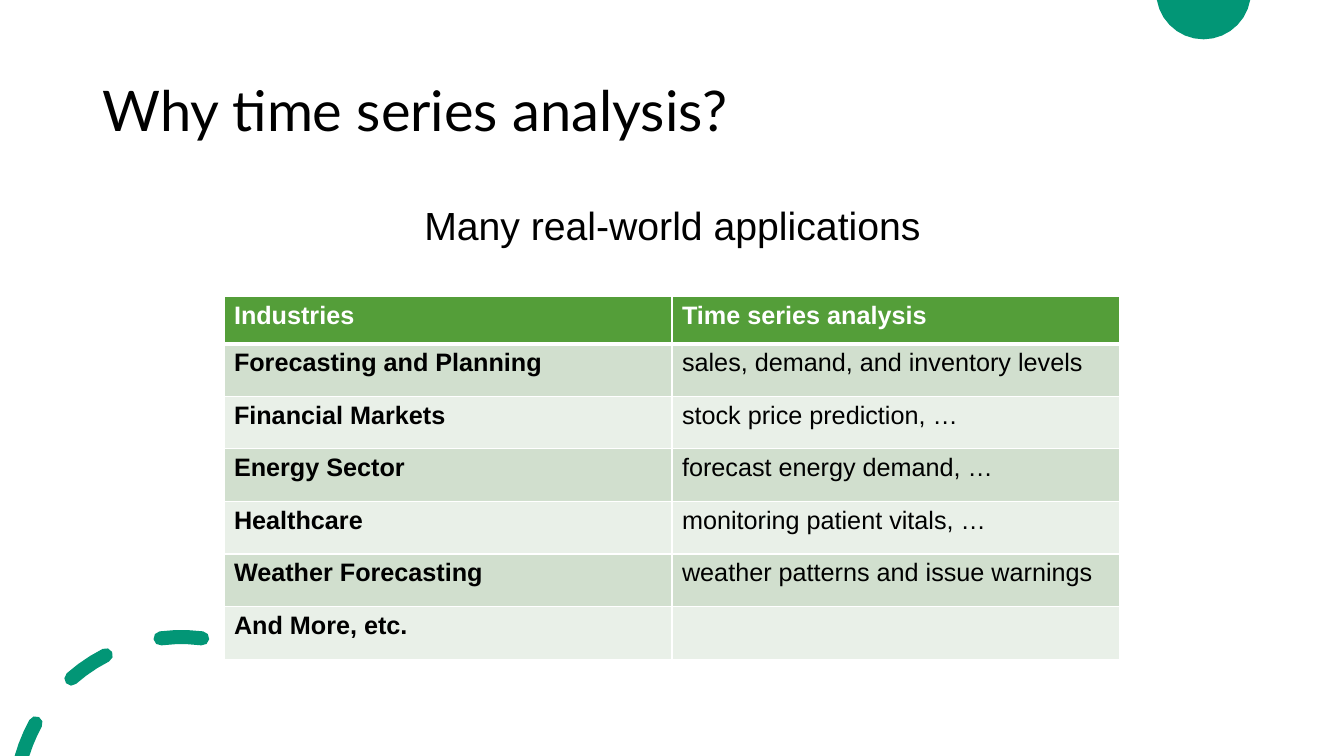
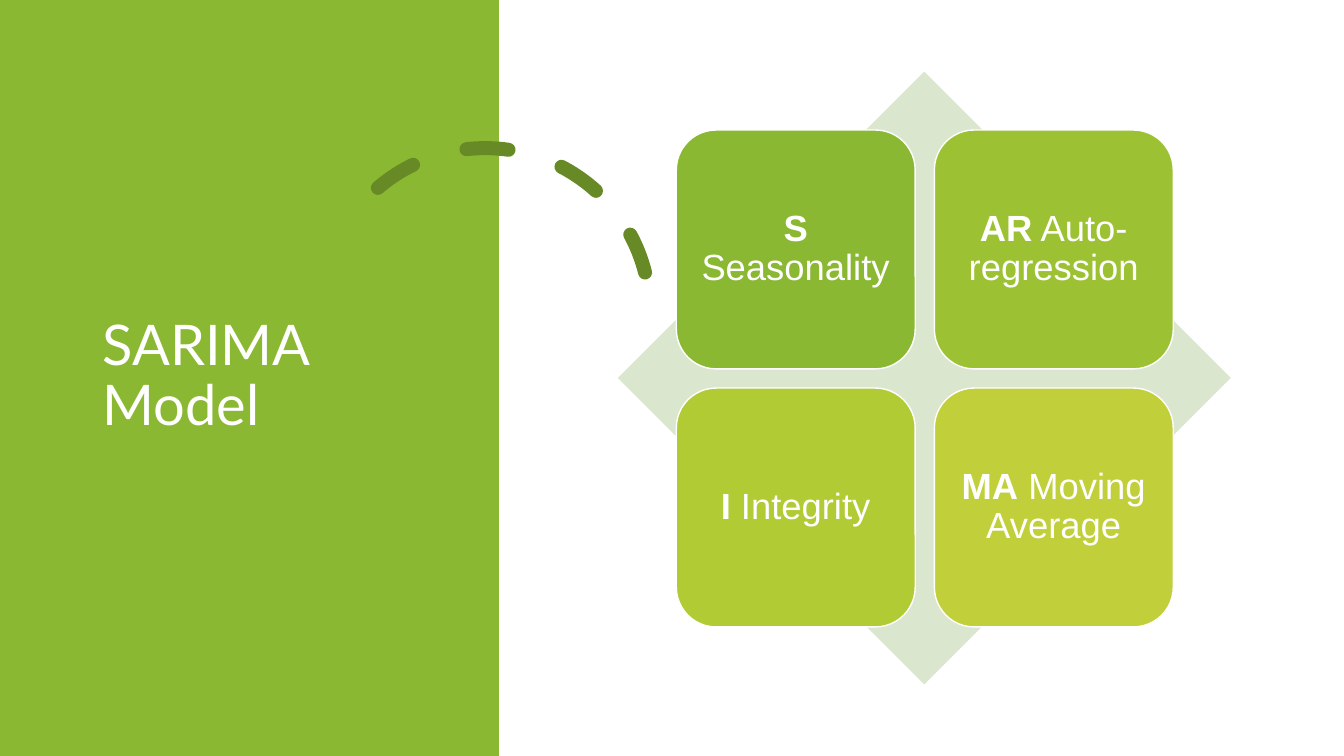
from dataclasses import dataclass
from math import acos, cos, degrees, radians, sin

from lxml.etree import SubElement
from pptx import Presentation
from pptx.dml.color import RGBColor
from pptx.enum.dml import MSO_LINE_DASH_STYLE as Dash
from pptx.enum.shapes import MSO_SHAPE as Shape
from pptx.enum.text import MSO_ANCHOR as Anchor, PP_ALIGN as Align
from pptx.oxml.ns import qn
from pptx.util import Inches, Pt


@dataclass(frozen=True)
class Theme:
    black: str = "000000"
    white: str = "FFFFFF"
    teal: str = "029676"
    panel: str = "8AB833"
    arc: str = "678A26"
    diamond: str = "DAE6CE"
    header: str = "549E39"
    bands: tuple = ("D1DFCE", "E9F0E8")
    title_font: str = "Lato"
    body_font: str = "Arial"
    title_size: int = 40
    lead_size: int = 28
    tile_size: int = 26
    table_size: int = 18


THEME = Theme()
WIDTH, HEIGHT = 40 / 3, 7.5

APPLICATIONS_TITLE = "Why time series analysis?"
APPLICATIONS_LEAD = "Many real-world applications"
APPLICATIONS = [
    ("Industries", "Time series analysis"),
    ("Forecasting and Planning", "sales, demand, and inventory levels"),
    ("Financial Markets", "stock price prediction, …"),
    ("Energy Sector", "forecast energy demand, …"),
    ("Healthcare", "monitoring patient vitals, …"),
    ("Weather Forecasting", "weather patterns and issue warnings"),
    ("And More, etc.", ""),
]
SARIMA_TITLE = "SARIMA Model"
SARIMA_PARTS = [
    ("S", " Seasonality", "8AB833"),
    ("AR", " Auto-regression", "9CC233"),
    ("I", " Integrity", "B0CB34"),
    ("MA", " Moving Average", "C0CF3A"),
]


def color(value):
    return RGBColor.from_string(value)


def write(frame, text, size, ink, font=THEME.body_font, bold=False,
          align=Align.LEFT, anchor=Anchor.TOP, spacing=None, before=None):
    runs = [(text, bold)] if isinstance(text, str) else text
    frame.word_wrap = True
    frame.vertical_anchor = anchor
    para = frame.paragraphs[0]
    para.alignment = align
    para.line_spacing = spacing
    if before:
        para.space_before = Pt(before)
    for words, heavy in runs:
        span = para.add_run()
        span.text = words
        span.font.name = font
        span.font.size = Pt(size)
        span.font.bold = heavy
        span.font.color.rgb = color(ink)


def add_text(page, area, text, **style):
    box = page.shapes.add_textbox(*map(Inches, area))
    write(box.text_frame, text, spacing=0.9, **style)


def add_title(page, area, text, ink):
    add_text(page, area, text, size=THEME.title_size, ink=ink,
             font=THEME.title_font, anchor=Anchor.MIDDLE)


def paint(shape, fill=None, line=None, weight=1):
    shape.shadow.inherit = False
    if fill:
        shape.fill.solid()
        shape.fill.fore_color.rgb = color(fill)
    else:
        shape.fill.background()
    if line:
        shape.line.color.rgb = color(line)
        shape.line.width = Pt(weight)
    else:
        shape.line.fill.background()


def add_block(shapes, kind, area, **look):
    shape = shapes.add_shape(kind, *map(Inches, area))
    paint(shape, **look)
    return shape


def ring(center, radius, start, end, steps):
    angles = [radians(start + (end - start) * i / steps) for i in range(steps + 1)]
    return [(center[0] + radius * sin(a), center[1] - radius * cos(a)) for a in angles]


def dash_outline(center, radius, half, start, end):
    def lowest(distance):
        return -degrees(acos((center[1] - HEIGHT) / distance))

    outer, inner = radius + half, radius - half
    tip = ring(center, radius, end, end, 1)[0]
    outline = (ring(center, outer, max(start, lowest(outer)), end, 3)
               + ring(tip, half, end, end + 180, 4)[1:-1]
               + ring(center, inner, end, max(start, lowest(inner)), 3))
    if start > lowest(inner):
        tail = ring(center, radius, start, start, 1)[0]
        outline += ring(tail, half, start + 180, start + 360, 4)[1:-1]
    return outline


def add_outlines(page, outlines, fill):
    builder = None
    for outline in outlines:
        points = [(Inches(x), Inches(y)) for x, y in outline]
        if builder is None:
            builder = page.shapes.build_freeform(*points[0])
        else:
            builder.move_to(*points[0])
        builder.add_line_segments(points[1:], close=True)
    shape = builder.convert_to_shape()
    paint(shape, fill=fill)
    return shape


def decorate_master(deck, page):
    center, radius = (11.94, -0.08), 0.47
    edge = degrees(acos(center[1] / radius))
    disc = ring(center, radius, edge, 360 - edge, 14)
    starts = [-7.2 - 34.2 * i for i in (2, 1, 0)]
    dashes = [dash_outline((1.8, 7.97), 1.65, 0.07, s, s + 14.4) for s in starts]
    tree = deck.slide_master.shapes._spTree
    for outlines in ([disc], dashes):
        element = add_outlines(page, outlines, THEME.teal)._element
        element.nvSpPr.cNvPr.set("id", str(100 + len(tree)))
        tree.append(element)


def set_borders(cell, bottom):
    properties = cell._tc.get_or_add_tcPr()
    sides = {"a:lnL": 1, "a:lnR": 1, "a:lnT": 1, "a:lnB": bottom}
    for index, (tag, weight) in enumerate(sides.items()):
        edge = SubElement(properties, qn(tag), w=str(Pt(weight)))
        fill = SubElement(edge, qn("a:solidFill"))
        SubElement(fill, qn("a:srgbClr"), val=THEME.white)
        properties.insert(index, edge)


def add_applications_table(page):
    width, height, header = 8.89, 3.6, 0.47
    area = ((WIDTH - width) / 2, 2.94, width, height)
    body = (height - header) / (len(APPLICATIONS) - 1)
    table = page.shapes.add_table(len(APPLICATIONS), 2, *map(Inches, area)).table
    for column in table.columns:
        column.width = Inches(width / 2)
    for r, texts in enumerate(APPLICATIONS):
        heading = r == 0
        table.rows[r].height = Inches(header if heading else body)
        for c, text in enumerate(texts):
            cell = table.cell(r, c)
            cell.fill.solid()
            cell.fill.fore_color.rgb = color(
                THEME.header if heading else THEME.bands[(r - 1) % 2])
            set_borders(cell, bottom=3 if heading else 1)
            if text:
                write(cell.text_frame, text, THEME.table_size,
                      THEME.white if heading else THEME.black,
                      bold=heading or c == 0)


def build_applications(page):
    add_title(page, (0.92, 0.4, 11.5, 1.45), APPLICATIONS_TITLE, THEME.black)
    add_text(page, (0.92, 2, 11.5, 4.22), APPLICATIONS_LEAD, size=THEME.lead_size,
             ink=THEME.black, align=Align.CENTER, before=10)
    add_applications_table(page)


def add_dashed_arc(page):
    arc = add_block(page.shapes, Shape.ARC, (3.18, 1.47, 3.27, 3.27),
                    line=THEME.arc, weight=10)
    arc.adjustments[0] = 146.13
    arc.adjustments[1] = 0
    arc.rotation = 345.8
    arc.line.dash_style = Dash.DASH
    arc.line._get_or_add_ln().set("cap", "rnd")


def build_sarima(page):
    for width, fill in ((WIDTH, THEME.white), (4.95, THEME.panel)):
        add_block(page.shapes, Shape.RECTANGLE, (0, 0, width, HEIGHT), fill=fill)
    add_dashed_arc(page)
    add_title(page, (0.92, 0.7, 3.23, 6.09), SARIMA_TITLE, THEME.white)
    left, top, span, tile = 6.13, 0.71, 6.08, 2.37
    margin, pitch = 0.58, 2.56
    matrix = page.shapes.add_group_shape().shapes
    add_block(matrix, Shape.DIAMOND, (left, top, span, span), fill=THEME.diamond)
    for index, (letters, words, fill) in enumerate(SARIMA_PARTS):
        row, column = divmod(index, 2)
        area = (left + margin + column * pitch, top + margin + row * pitch, tile, tile)
        block = add_block(matrix, Shape.ROUNDED_RECTANGLE, area,
                          fill=fill, line=THEME.white)
        frame = block.text_frame
        frame.margin_left = frame.margin_right = Inches(0.11)
        frame.margin_top = frame.margin_bottom = Inches(0.11)
        write(frame, [(letters, True), (words, False)], THEME.tile_size, THEME.white,
              align=Align.CENTER, anchor=Anchor.MIDDLE, spacing=0.9)


def main():
    deck = Presentation()
    deck.slide_width, deck.slide_height = Inches(WIDTH), Inches(HEIGHT)
    builders = (build_applications, build_sarima)
    pages = [deck.slides.add_slide(deck.slide_layouts[6]) for _ in builders]
    decorate_master(deck, pages[0])
    for build, page in zip(builders, pages):
        build(page)
    deck.save("out.pptx")


if __name__ == "__main__":
    main()
